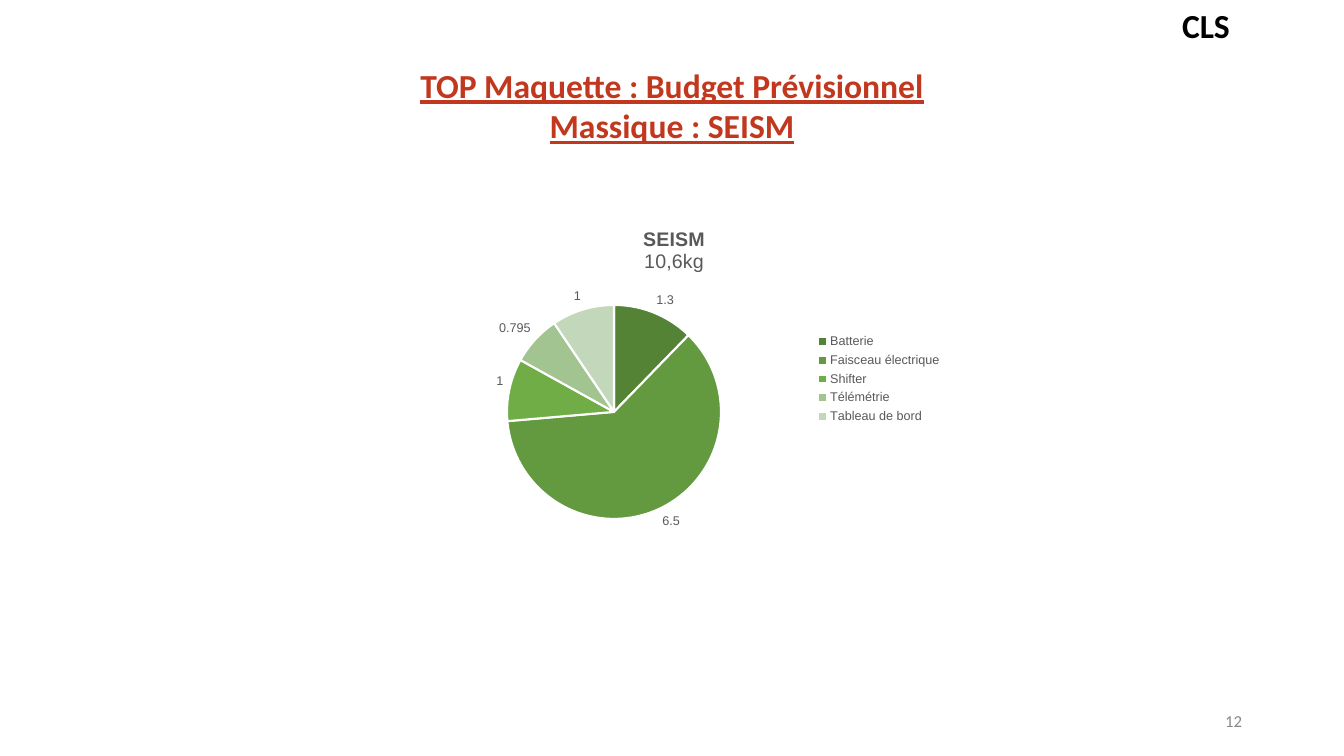
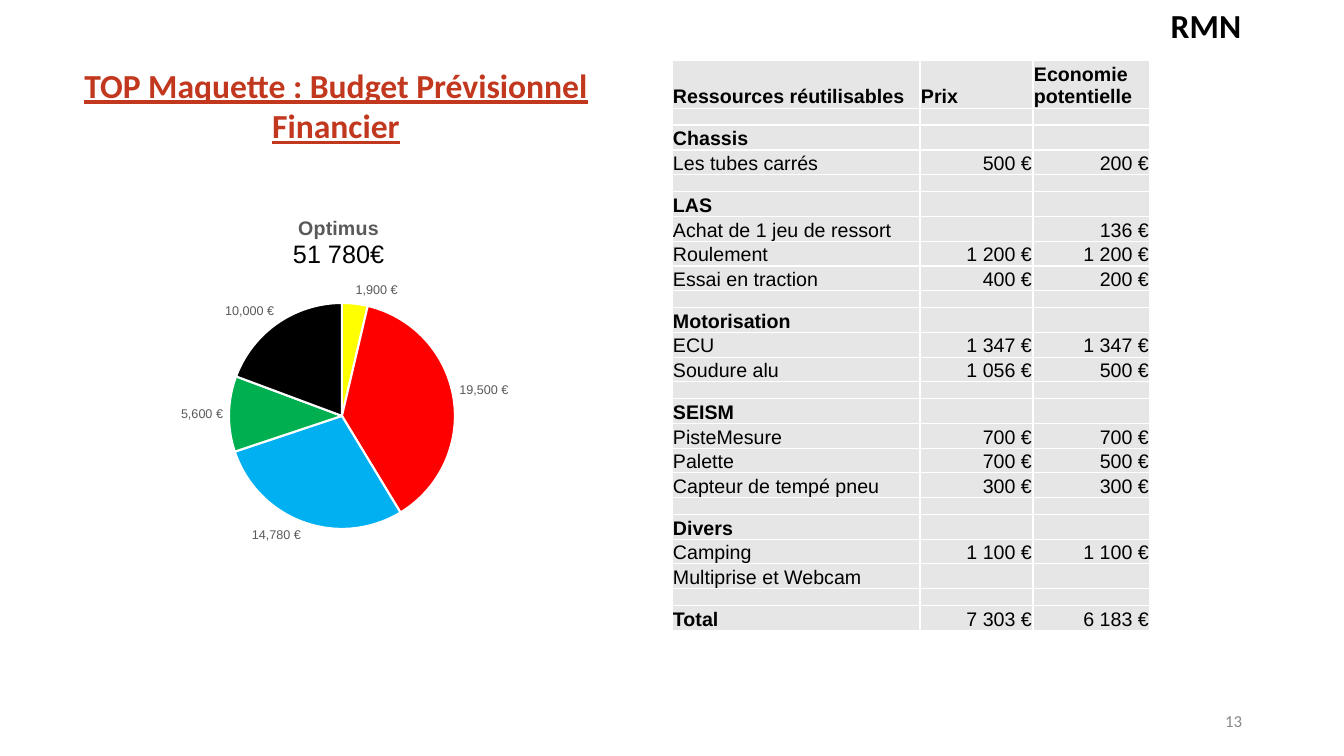
"""Build two budget slides: the SEISM mass budget and the financial budget."""
from dataclasses import dataclass
from typing import NamedTuple, Optional

from lxml.etree import SubElement
from pptx import Presentation
from pptx.chart.chart import Chart
from pptx.chart.data import CategoryChartData
from pptx.dml.color import RGBColor
from pptx.enum.chart import XL_CHART_TYPE, XL_LABEL_POSITION, XL_LEGEND_POSITION
from pptx.enum.text import MSO_ANCHOR, PP_ALIGN
from pptx.oxml.ns import qn
from pptx.slide import Slide
from pptx.table import _Cell as Cell
from pptx.util import Pt

EMU_PER_PX = 914400 / 100.8
SLIDE_WIDTH, SLIDE_HEIGHT = 1344, 756
PIE = XL_CHART_TYPE.PIE
OUTSIDE_END = XL_LABEL_POSITION.OUTSIDE_END
LEGEND_RIGHT = XL_LEGEND_POSITION.RIGHT
LEFT, CENTER, RIGHT = PP_ALIGN.LEFT, PP_ALIGN.CENTER, PP_ALIGN.RIGHT
TOP, MIDDLE, BOTTOM = MSO_ANCHOR.TOP, MSO_ANCHOR.MIDDLE, MSO_ANCHOR.BOTTOM

BLACK = RGBColor(0x00, 0x00, 0x00)
WHITE = RGBColor(0xFF, 0xFF, 0xFF)
BRICK = RGBColor(0xC2, 0x38, 0x1E)
CHART_GREY = RGBColor(0x59, 0x59, 0x59)
NUMBER_GREY = RGBColor(0x88, 0x88, 0x88)
CELL_GREY = RGBColor(0xE6, 0xE6, 0xE6)
GREENS = (
    RGBColor(0x55, 0x83, 0x36), RGBColor(0x63, 0x9A, 0x3F), RGBColor(0x70, 0xAD, 0x47),
    RGBColor(0xA1, 0xC4, 0x90), RGBColor(0xC3, 0xD8, 0xBB),
)
BRIGHTS = (
    RGBColor(0xFF, 0xFF, 0x00), RGBColor(0xFF, 0x00, 0x00), RGBColor(0x00, 0xB0, 0xF0),
    RGBColor(0x00, 0xB0, 0x50), BLACK,
)


class Box(NamedTuple):
    left: int
    top: int
    width: int
    height: int


class TextStyle(NamedTuple):
    size: int
    color: RGBColor
    bold: bool = False
    underline: bool = False
    font: str = "Calibri"


@dataclass(frozen=True)
class PieSpec:
    box: Box
    circle: Box
    title_left: int
    title_top: int
    title: tuple[tuple[str, TextStyle], ...]
    categories: tuple[str, ...]
    values: tuple[float, ...]
    colors: tuple[RGBColor, ...]
    number_format: str = "General"
    legend: bool = False


class Resource(NamedTuple):
    label: str = ""
    price: str = ""
    saving: str = ""
    bold: bool = False


TITLE = TextStyle(24, BRICK, bold=True, underline=True)
INITIALS = TextStyle(24, BLACK, bold=True)
PAGE_NUMBER = TextStyle(12, NUMBER_GREY)
PIE_NAME = TextStyle(14, CHART_GREY, bold=True, font="Arial")
PIE_MASS = TextStyle(14, CHART_GREY, font="Arial")
PIE_COST = TextStyle(18, BLACK, font="Arial")
PIE_LABEL = TextStyle(9, CHART_GREY, font="Arial")
CELL_PLAIN = TextStyle(14, BLACK, font="Arial")
CELL_BOLD = TextStyle(14, BLACK, bold=True, font="Arial")

MASS_PIE = PieSpec(
    Box(391, 208, 561, 342), Box(507, 305, 214, 214), 640, 224,
    (("SEISM", PIE_NAME), ("10,6kg", PIE_MASS)),
    ("Batterie", "Faisceau électrique", "Shifter", "Télémétrie", "Tableau de bord"),
    (1.3, 6.5, 1, 0.795, 1), GREENS, legend=True,
)
COST_PIE = PieSpec(
    Box(137, 196, 397, 365), Box(229, 303, 226, 226), 290, 213,
    (("Optimus", PIE_NAME), ("51 780€", PIE_COST)),
    ("1", "2", "3", "4", "5"),
    (1900, 19500, 14780, 5600, 10000), BRIGHTS, '#,##0\\ "€"',
)

TABLE_LEFT, TABLE_TOP = 672, 60
COLUMN_WIDTHS = (248, 113, 117)
HEADER_HEIGHT, SPACER_HEIGHT, PARTIAL_HEIGHT, FULL_HEIGHT = 45, 17, 25, 22
SPACER = Resource()
RESOURCES = (
    Resource("Ressources réutilisables", "Prix", "Economie potentielle", True),
    SPACER,
    Resource("Chassis", bold=True),
    Resource("Les tubes carrés", "500 €", "200 €"),
    SPACER,
    Resource("LAS", bold=True),
    Resource("Achat de 1 jeu de ressort", saving="136 €"),
    Resource("Roulement", "1 200 €", "1 200 €"),
    Resource("Essai en traction", "400 €", "200 €"),
    SPACER,
    Resource("Motorisation", bold=True),
    Resource("ECU", "1 347 €", "1 347 €"),
    Resource("Soudure alu", "1 056 €", "500 €"),
    SPACER,
    Resource("SEISM", bold=True),
    Resource("PisteMesure", "700 €", "700 €"),
    Resource("Palette", "700 €", "500 €"),
    Resource("Capteur de tempé pneu", "300 €", "300 €"),
    SPACER,
    Resource("Divers", bold=True),
    Resource("Camping", "1 100 €", "1 100 €"),
    Resource("Multiprise et Webcam"),
    SPACER,
    Resource("Total", "7 303 €", "6 183 €", True),
)


def px(length: int) -> int:
    """Convert pixels to EMU."""
    return round(length * EMU_PER_PX)


def emu(box: Box) -> tuple[int, ...]:
    """Convert a pixel box to EMU."""
    return tuple(px(length) for length in box)


def apply_style(font, style: TextStyle) -> None:
    """Apply a text style to a font."""
    font.name = style.font
    font.size = Pt(style.size)
    font.bold = style.bold
    font.underline = style.underline
    font.color.rgb = style.color


def add_text(slide: Slide, box: Box, lines: tuple[str, ...], style: TextStyle,
             alignment=CENTER, anchor=TOP) -> None:
    """Add a text box with one paragraph per line."""
    frame = slide.shapes.add_textbox(*emu(box)).text_frame
    frame.word_wrap = True
    frame.vertical_anchor = anchor
    frame.text = "\n".join(lines)
    for paragraph in frame.paragraphs:
        paragraph.alignment = alignment
        apply_style(paragraph.font, style)


def set_layout(parent, index: int, settings: dict[str, object]) -> None:
    """Give a chart part a manual layout."""
    for layout in parent.findall(qn("c:layout")):
        parent.remove(layout)
    layout = parent.makeelement(qn("c:layout"))
    parent.insert(index, layout)
    manual = SubElement(layout, qn("c:manualLayout"))
    for name, value in settings.items():
        SubElement(manual, qn(f"c:{name}")).set("val", str(value))


def place_parts(chart: Chart, spec: PieSpec) -> None:
    """Place the pie circle and the chart title."""
    box, circle = spec.box, spec.circle
    edges = {"xMode": "edge", "yMode": "edge"}
    set_layout(chart.element.find(f".//{qn('c:plotArea')}"), 0, {
        "layoutTarget": "inner", **edges,
        "x": round((circle.left - box.left) / box.width, 4),
        "y": round((circle.top - box.top) / box.height, 4),
        "w": round(circle.width / box.width, 4),
        "h": round(circle.height / box.height, 4),
    })
    set_layout(chart.element.find(f".//{qn('c:title')}"), 1, {
        **edges,
        "x": round((spec.title_left - box.left) / box.width, 4),
        "y": round((spec.title_top - box.top) / box.height, 4),
    })


def add_pie(slide: Slide, spec: PieSpec) -> None:
    """Add a pie chart with a two-line title and outside labels."""
    data = CategoryChartData()
    data.categories = spec.categories
    data.add_series("Series 1", spec.values)
    chart = slide.shapes.add_chart(PIE, *emu(spec.box), data).chart
    chart.font.name = "Arial"
    chart.font.size = Pt(10)
    chart.font.color.rgb = BLACK

    chart.has_title = True
    frame = chart.chart_title.text_frame
    frame.text = "\n".join(text for text, _ in spec.title)
    for paragraph, (_, style) in zip(frame.paragraphs, spec.title):
        paragraph.alignment = CENTER
        apply_style(paragraph.font, style)
        apply_style(paragraph.runs[0].font, style)

    chart.has_legend = spec.legend
    if spec.legend:
        chart.legend.position = LEGEND_RIGHT
        chart.legend.include_in_layout = False
        apply_style(chart.legend.font, PIE_LABEL)

    plot = chart.plots[0]
    plot.vary_by_categories = True
    plot.has_data_labels = True
    labels = plot.data_labels
    labels.show_value = True
    labels.show_percentage = False
    labels.position = OUTSIDE_END
    labels.number_format = spec.number_format
    labels.number_format_is_linked = False
    apply_style(labels.font, PIE_LABEL)
    for index, color in enumerate(spec.colors):
        point_format = plot.series[0].points[index].format
        point_format.fill.solid()
        point_format.fill.fore_color.rgb = color
        point_format.line.color.rgb = WHITE
        point_format.line.width = Pt(1.5)
    place_parts(chart, spec)


def fill_cell(cell: Cell, text: str, style: TextStyle, alignment) -> None:
    """Write and format one table cell."""
    cell.margin_left = cell.margin_right = cell.margin_top = px(1)
    cell.margin_bottom = 0
    cell.vertical_anchor = BOTTOM
    paragraph = cell.text_frame.paragraphs[0]
    if text:
        paragraph.text = text
        paragraph.alignment = alignment
        apply_style(paragraph.font, style)
    else:
        SubElement(paragraph._p, qn("a:endParaRPr")).set("sz", "800")
    properties = cell._tc.get_or_add_tcPr()
    for side in ("lnL", "lnR", "lnT", "lnB"):
        line = SubElement(properties, qn(f"a:{side}"), w=str(Pt(1)))
        SubElement(SubElement(line, qn("a:solidFill")), qn("a:srgbClr")).set("val", str(WHITE))
    cell.fill.solid()
    cell.fill.fore_color.rgb = CELL_GREY


def row_height(index: int, resource: Resource) -> int:
    """Return the height of a table row in pixels."""
    if index == 0:
        return HEADER_HEIGHT
    if resource == SPACER:
        return SPACER_HEIGHT
    return FULL_HEIGHT if resource.price and resource.saving else PARTIAL_HEIGHT


def add_resources(slide: Slide) -> None:
    """Add the table of reusable resources."""
    heights = [row_height(index, resource) for index, resource in enumerate(RESOURCES)]
    box = Box(TABLE_LEFT, TABLE_TOP, sum(COLUMN_WIDTHS), sum(heights))
    table = slide.shapes.add_table(len(RESOURCES), len(COLUMN_WIDTHS), *emu(box)).table
    table.first_row = table.horz_banding = False
    for column, width in zip(table.columns, COLUMN_WIDTHS):
        column.width = px(width)
    for row_index, resource in enumerate(RESOURCES):
        table.rows[row_index].height = px(heights[row_index])
        for column_index, text in enumerate(resource[:3]):
            is_text = row_index == 0 or column_index == 0
            style = CELL_BOLD if resource.bold and is_text else CELL_PLAIN
            fill_cell(table.cell(row_index, column_index), text, style,
                      LEFT if is_text else RIGHT)


def add_budget_slide(presentation, subject: str, title_width: int, initials: str,
                     number: int, pie: Optional[PieSpec]) -> Slide:
    """Add a slide with title, initials, page number and pie."""
    slide = presentation.slides.add_slide(presentation.slide_layouts[6])
    add_text(slide, Box(0, 60, title_width, 92),
             ("TOP Maquette : Budget Prévisionnel", subject), TITLE)
    add_text(slide, Box(1160, 0, 92, 50), (initials,), INITIALS)
    add_text(slide, Box(950, 701, 302, 40), (str(number),), PAGE_NUMBER, RIGHT, MIDDLE)
    if pie:
        add_pie(slide, pie)
    return slide


def main() -> None:
    """Build and save the presentation."""
    presentation = Presentation()
    presentation.slide_width, presentation.slide_height = px(SLIDE_WIDTH), px(SLIDE_HEIGHT)
    add_budget_slide(presentation, "Massique : SEISM", SLIDE_WIDTH, "CLS", 12, MASS_PIE)
    finance = add_budget_slide(presentation, "Financier", SLIDE_WIDTH // 2, "RMN", 13, COST_PIE)
    add_resources(finance)
    presentation.save("out.pptx")


if __name__ == "__main__":
    main()
